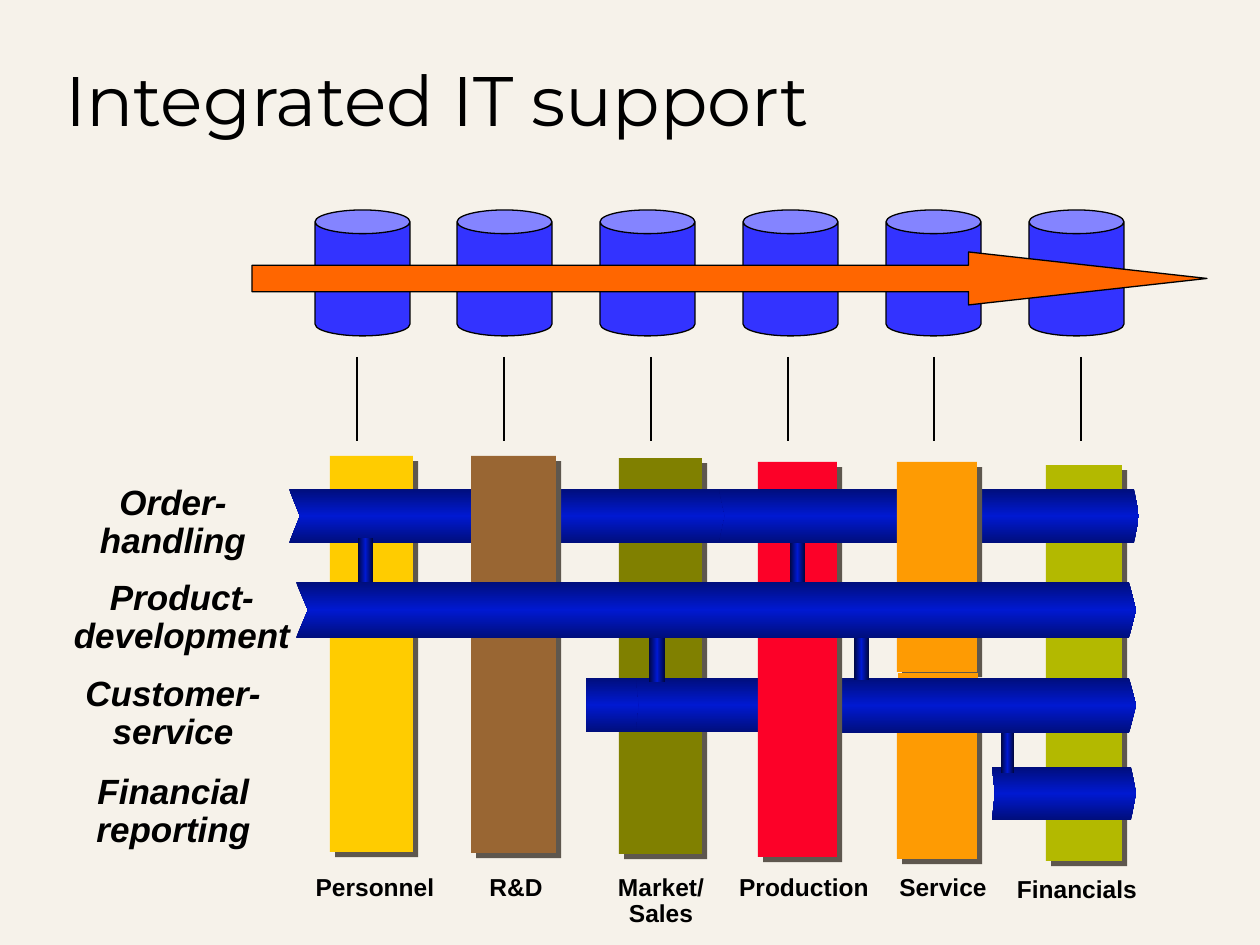
import pptx
import pptx.dml.color
import pptx.enum.shapes
import pptx.enum.text
import pptx.oxml.ns
import pptx.util
from lxml import etree

PX = 914400 / 126  # EMU in one px
SHAPE = pptx.enum.shapes.MSO_SHAPE
COLORS = {
    "background": "F6F2EA", "ink": "000000", "shadow": "5E574E",
    "yellow": "FFCC00", "brown": "996633", "olive": "808000",
    "red": "FC0128", "orange": "FE9B03", "lime": "B3B900",
    "database": "3333FF", "arrow": "FF6600",
    "pipe": "0019D1", "pipe edge": "000E7C", "link edge": "00073E",
}


def emu(*lengths):
    return [pptx.util.Emu(round(n * PX)) for n in lengths]


def rgb(name):
    return pptx.dml.color.RGBColor.from_string(COLORS[name])


def add_xml(parent, tag, **attrs):
    return etree.SubElement(parent, pptx.oxml.ns.qn(tag), attrs)


class Diagram:
    """Holds the style and the current slide."""

    def __init__(self, prs):
        self.s = prs.slides.add_slide(prs.slide_layouts[6])
        self.s.background.fill.solid()
        self.s.background.fill.fore_color.rgb = rgb("background")

    def text(self, box, words, size, font="Arial", bold=True, italic=False,
             wrap=True, title=False):
        tf = self.s.shapes.add_textbox(*emu(*box)).text_frame
        tf.word_wrap = wrap
        if title:
            tf.vertical_anchor = pptx.enum.text.MSO_ANCHOR.BOTTOM
        else:
            tf.auto_size = pptx.enum.text.MSO_AUTO_SIZE.SHAPE_TO_FIT_TEXT
        for i, line in enumerate(words.split("\n")):
            p = tf.add_paragraph() if i else tf.paragraphs[0]
            if not title:
                p.alignment = pptx.enum.text.PP_ALIGN.CENTER
                p.line_spacing = 0.9
            r = p.add_run()
            r.text = line
            r.font.name, r.font.size = font, pptx.util.Pt(size)
            r.font.bold, r.font.italic = bold, italic
            r.font.color.rgb = rgb("ink")

    def shape(self, kind, box, color, outline=True, adjustments=()):
        sp = self.s.shapes.add_shape(kind, *emu(*box))
        for i, value in enumerate(adjustments):
            sp.adjustments[i] = value
        sp.fill.solid()
        sp.fill.fore_color.rgb = rgb(color)
        if outline:
            sp.line.color.rgb = rgb("ink")
            sp.line.width = pptx.util.Pt(0.75)
        else:
            sp.line.fill.background()
        sp.shadow.inherit = False
        return sp

    def column(self, box, color):
        """Department bar with a hard shadow to the lower right."""
        sp = self.shape(SHAPE.RECTANGLE, box, color, outline=False)
        effects = sp._element.spPr.find(pptx.oxml.ns.qn("a:effectLst"))
        shadow = add_xml(effects, "a:outerShdw", dist=str(pptx.util.Pt(4.2)),
                         dir="2700000", algn="ctr", rotWithShape="0")
        add_xml(shadow, "a:srgbClr", val=COLORS["shadow"])

    def tube(self, sp, edge, angle):
        """Fill that is bright along the middle and dark at both edges."""
        sp.fill.gradient()
        sp.fill.gradient_angle = angle
        stops = sp._element.spPr.find(".//" + pptx.oxml.ns.qn("a:gsLst"))
        for stop in list(stops):
            stops.remove(stop)
        for pos, name in ((0, edge), (50000, "pipe"), (100000, edge)):
            add_xml(add_xml(stops, "a:gs", pos=str(pos)), "a:srgbClr", val=COLORS[name])
        sp.line.fill.background()
        sp.shadow.inherit = False

    def pipe(self, left, notch, shoulder, tip, top, bottom):
        middle = (top + bottom) // 2
        outline = self.s.shapes.build_freeform(left, top, scale=PX)
        outline.add_line_segments([(shoulder, top), (tip, middle), (shoulder, bottom),
                                   (left, bottom), (notch, middle)], close=True)
        self.tube(outline.convert_to_shape(), "pipe edge", 90)

    def link(self, *box):
        """Short vertical tube between two pipes."""
        self.tube(self.s.shapes.add_shape(SHAPE.RECTANGLE, *emu(*box)), "link edge", 0)

    def line(self, x, top, bottom):
        c = self.s.shapes.add_connector(
            pptx.enum.shapes.MSO_CONNECTOR.STRAIGHT, *emu(x, top, x, bottom))
        c.line.color.rgb = rgb("ink")
        c.line.width = pptx.util.Pt(0.75)
        add_xml(c._element.spPr, "a:effectLst")


def main():
    prs = pptx.Presentation()
    prs.slide_width, prs.slide_height = emu(1260, 945)
    d = Diagram(prs)
    d.text((53, 0, 1183, 147), "Integrated IT support", 40, "Montserrat",
           bold=False, title=True)

    for box, words, wrap in (
            ((74, 479, 198, 88), "Order- handling", True),
            ((69, 670, 208, 88), "Customer- service", True),
            ((84, 768, 179, 164), "Financial\nreporting", False)):
        d.text(box, words, 20, italic=True, wrap=wrap)
    for left, top, width, height, words in (
            (466, 869, 100, 39, "R&D"), (601, 869, 120, 66, "Market/\nSales"),
            (723, 869, 162, 39, "Production"), (877, 869, 132, 39, "Service"),
            (988, 871, 178, 39, "Financials"), (295, 869, 160, 39, "Personnel")):
        d.text((left, top, width, height), words, 14, wrap=False)

    # Columns and pipes are woven, so they are stacked in this order.
    order, customer, finance = (489, 543), (678, 732), (767, 820)
    d.column((1046, 465, 76, 396), "lime")
    d.column((897, 709, 80, 150), "orange")
    d.pipe(830, 837, 1129, 1136, 678, 733)
    d.column((330, 456, 83, 396), "yellow")
    d.column((619, 458, 83, 396), "olive")
    d.pipe(963, 966, 1134, 1139, *order)
    d.pipe(586, 587, 638, 640, *customer)
    d.pipe(992, 995, 1131, 1136, *finance)
    d.link(1001, 733, 13, 40)
    d.pipe(636, 639, 796, 801, *customer)
    d.pipe(289, 300, 822, 838, *order)
    d.column((758, 462, 79, 395), "red")
    d.pipe(719, 725, 968, 975, *order)
    d.column((471, 456, 85, 397), "brown")
    for box in ((649, 635, 16, 47), (790, 543, 15, 41),
                (854, 636, 15, 44), (358, 538, 15, 50)):
        d.link(*box)
    d.column((897, 462, 80, 210), "orange")
    d.shape(SHAPE.RECTANGLE, (898, 673, 80, 5), "orange", outline=False)
    d.pipe(296, 308, 1129, 1136, 582, 638)
    d.text((51, 574, 262, 88), "Product- development", 20, italic=True)

    for i in range(6):
        d.shape(SHAPE.CAN, (315 + i * 714 // 5, 210, 95, 126), "database",
                adjustments=(0.25,))
    for x in (357, 504, 651, 788, 934, 1081):
        d.line(x, 357, 441)
    d.shape(SHAPE.RIGHT_ARROW, (252, 252, 955, 53), "arrow", adjustments=(0.5, 4.5))

    prs.save("out.pptx")


if __name__ == "__main__":
    main()
